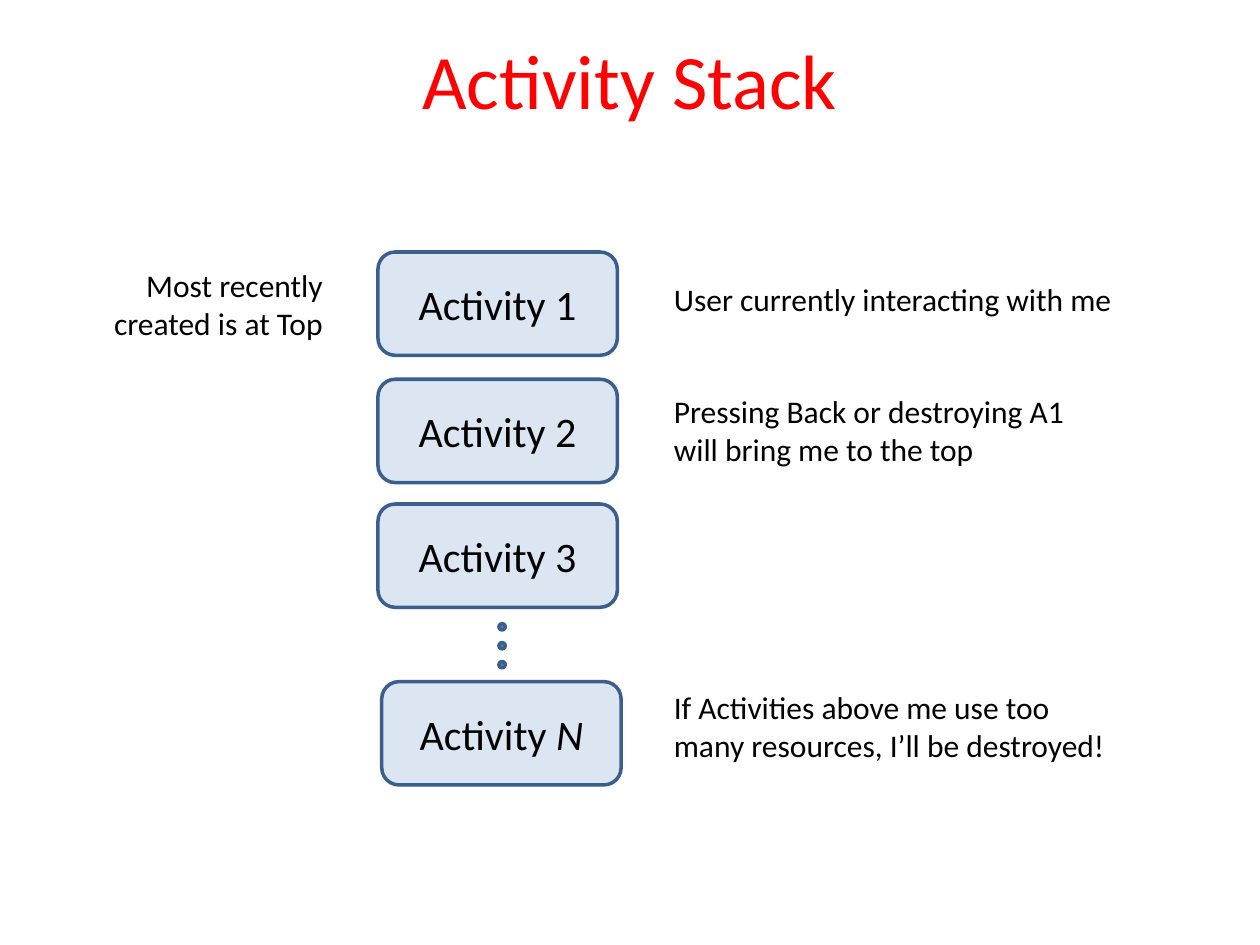
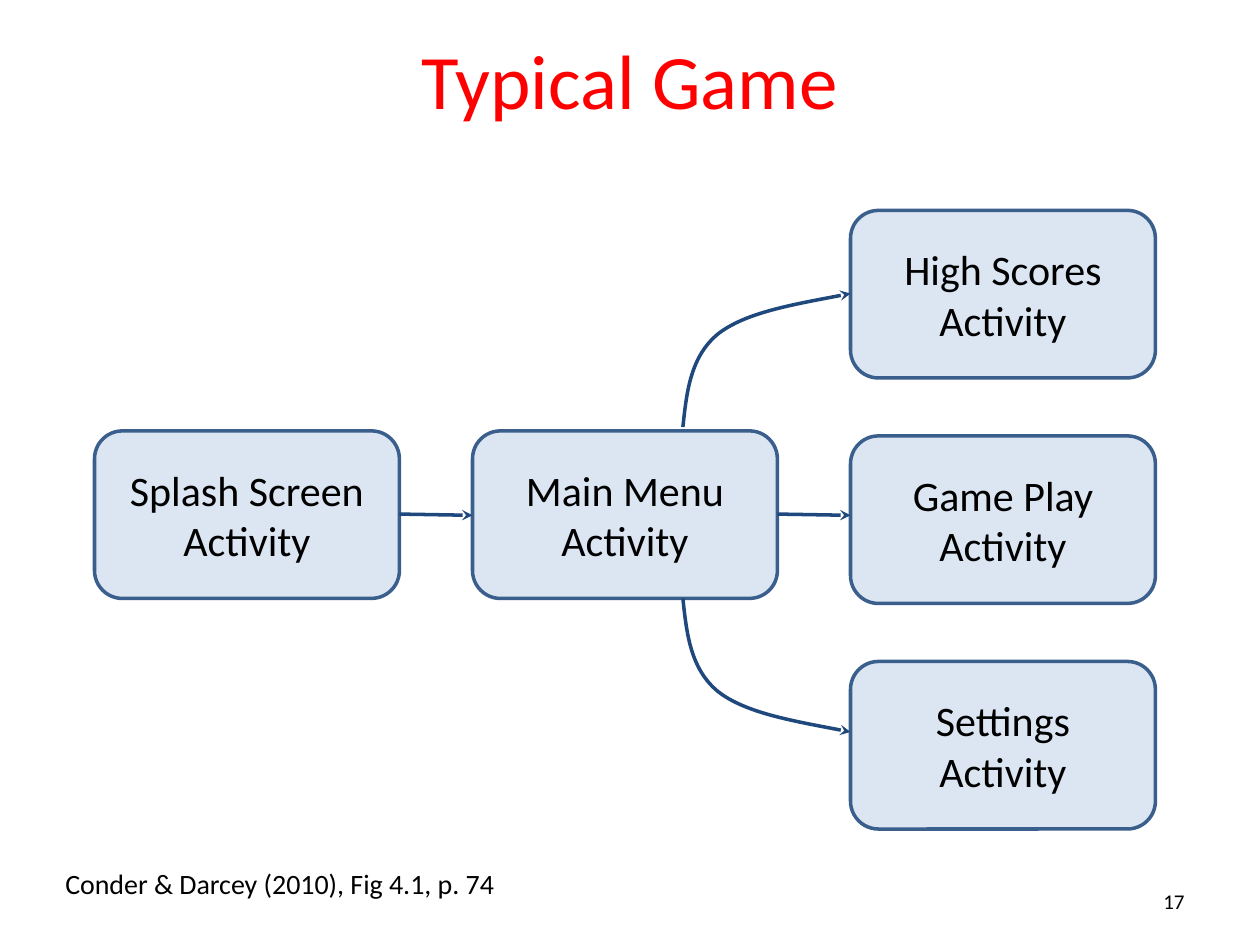
from dataclasses import dataclass

from lxml import etree
from pptx import Presentation
from pptx.dml.color import RGBColor
from pptx.enum import shapes, text
from pptx.oxml.ns import qn
from pptx.util import Pt

PX = 9144  # EMU in one px, 100 px to the inch


@dataclass(frozen=True)
class Theme:
    font: str = "Calibri"
    title_color: str = "FF0000"
    text_color: str = "000000"
    box_fill: str = "DCE6F2"
    dot_fill: str = "4F81BD"
    outline: str = "3A5F8C"
    arrow: str = "1F497D"
    title_size: int = 44
    box_size: int = 24
    note_size: int = 18
    source_size: int = 16
    number_size: int = 12
    line_width: int = 2


class Deck:
    def __init__(self, theme):
        self.theme = theme
        self.presentation = Presentation()
        self.presentation.slide_width = 1000 * PX
        self.presentation.slide_height = 750 * PX
        self.slide = None

    def new_slide(self, title):
        blank = self.presentation.slide_layouts[6]
        self.slide = self.presentation.slides.add_slide(blank)
        self.label(title, 50, 0, 900, 125, self.theme.title_size,
                   align=text.PP_ALIGN.CENTER, anchor=text.MSO_ANCHOR.MIDDLE,
                   color=self.theme.title_color)

    def format_text(self, frame, size, align, anchor, color):
        frame.word_wrap = True
        frame.vertical_anchor = anchor
        for paragraph in frame.paragraphs:
            paragraph.alignment = align
            for run in paragraph.runs:
                run.font.name = self.theme.font
                run.font.size = Pt(size)
                run.font.color.rgb = RGBColor.from_string(color)

    def label(self, words, left, top, width, height, size,
              align=text.PP_ALIGN.LEFT, anchor=text.MSO_ANCHOR.TOP, color=None):
        shape = self.slide.shapes.add_textbox(left * PX, top * PX, width * PX, height * PX)
        shape.text_frame.text = words
        self.format_text(shape.text_frame, size, align, anchor,
                         color or self.theme.text_color)

    def filled_shape(self, kind, left, top, width, height, fill):
        shape = self.slide.shapes.add_shape(
            kind, left * PX, top * PX, width * PX, height * PX)
        shape.shadow.inherit = False
        shape.fill.solid()
        shape.fill.fore_color.rgb = RGBColor.from_string(fill)
        self.stroke(shape, self.theme.outline)
        return shape

    def box(self, words, left, top, width, height, italic=""):
        """Rounded box with centred text; italic is added to its last line."""
        shape = self.filled_shape(shapes.MSO_SHAPE.ROUNDED_RECTANGLE,
                                  left, top, width, height, self.theme.box_fill)
        frame = shape.text_frame
        frame.text = words
        if italic:
            run = frame.paragraphs[-1].add_run()
            run.text = italic
            run.font.italic = True
        self.format_text(frame, self.theme.box_size, text.PP_ALIGN.CENTER,
                         text.MSO_ANCHOR.MIDDLE, self.theme.text_color)

    def dot(self, left, top, size):
        self.filled_shape(shapes.MSO_SHAPE.OVAL, left, top, size, size, self.theme.dot_fill)

    def stroke(self, shape, color):
        shape.line.color.rgb = RGBColor.from_string(color)
        shape.line.width = Pt(self.theme.line_width)

    def arrow_stroke(self, shape):
        self.stroke(shape, self.theme.arrow)
        line = next(shape.element.iter(qn("a:ln")))
        etree.SubElement(line, qn("a:tailEnd"), type="stealth")

    def arrow(self, x1, y1, x2, y2):
        connector = self.slide.shapes.add_connector(
            shapes.MSO_CONNECTOR.STRAIGHT, x1 * PX, y1 * PX, x2 * PX, y2 * PX)
        self.arrow_stroke(connector)
        etree.SubElement(connector.element.spPr, qn("a:effectLst"))

    def curved_arrow(self, start, points):
        """Bezier arrow; points hold two controls and an end for each curve."""
        builder = self.slide.shapes.build_freeform(*start, scale=PX)
        builder.add_line_segments(points, close=False)
        shape = builder.convert_to_shape()
        segments = list(shape.element.iter(qn("a:lnTo")))
        for first, second, third in zip(segments[::3], segments[1::3], segments[2::3]):
            first.tag = qn("a:cubicBezTo")
            for segment in (second, third):
                first.append(segment[0])
                segment.getparent().remove(segment)
        shape.fill.background()
        shape.shadow.inherit = False
        self.arrow_stroke(shape)


def activity_stack(deck):
    deck.new_slide("Activity Stack")
    for index in range(3):
        deck.dot(396, 495 + 15 * index, 5)
    for number, top in enumerate((200, 301, 400), start=1):
        deck.box(f"Activity {number}", 300, top, 190, 82)
    deck.box("Activity ", 303, 541, 190, 82, italic="N")

    size = deck.theme.note_size
    for words, top, width, height in (
        ("User currently interacting with me", 217, 383, 40),
        ("Pressing Back or destroying A1 will bring me to the top", 306, 367, 71),
        ("If Activities above me use too many resources, I’ll be destroyed!", 541, 367, 71),
    ):
        deck.label(words, 525, top, width, height, size)
    deck.label("Most recently created is at Top", 67, 206, 199, 71, size,
               align=text.PP_ALIGN.RIGHT)


def typical_game(deck):
    deck.new_slide("Typical Game")
    columns = [75 + 300 * index for index in range(3)]
    width, height = 242, 133
    for name, column, top in (
        ("Splash Screen", 0, 342),
        ("Main Menu", 1, 342),
        ("High Scores", 2, 167),
        ("Game Play", 2, 346),
        ("Settings", 2, 525),
    ):
        deck.box(f"{name}\nActivity", columns[column], top, width, height)

    for left, right in zip(columns, columns[1:]):
        deck.arrow(left + width, 408, right, 409)
    bend = ((3, 28), (6, 56), (28, 74), (50, 91), (92, 98), (133, 106))
    for start_y, direction in ((339, -1), (475, 1)):
        deck.curved_arrow((542, start_y),
                          [(542 + x, start_y + direction * y) for x, y in bend])

    deck.label("Conder & Darcey (2010), Fig 4.1, p. 74", 42, 683, 517, 37,
               deck.theme.source_size)
    deck.label("17", 717, 695, 233, 40, deck.theme.number_size,
               align=text.PP_ALIGN.RIGHT, anchor=text.MSO_ANCHOR.MIDDLE)


def main():
    deck = Deck(Theme())
    activity_stack(deck)
    typical_game(deck)
    deck.presentation.save("out.pptx")


if __name__ == "__main__":
    main()
